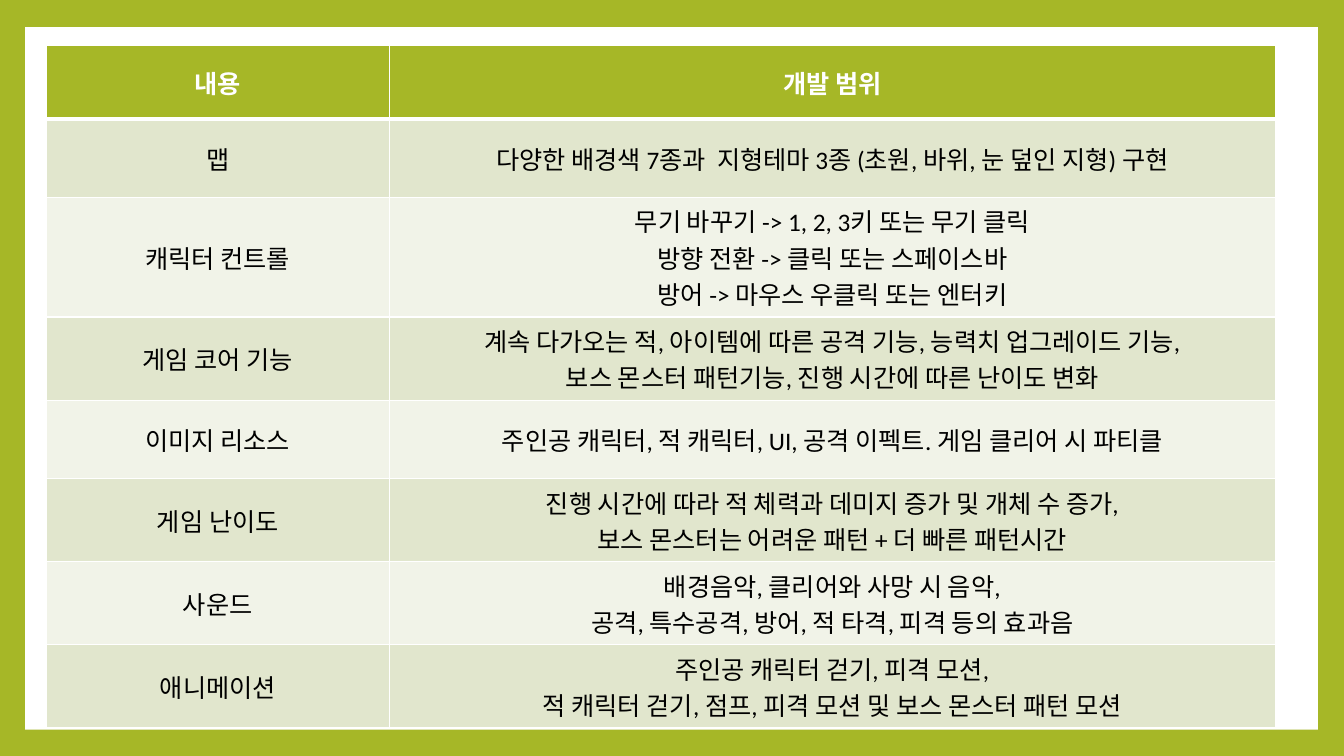
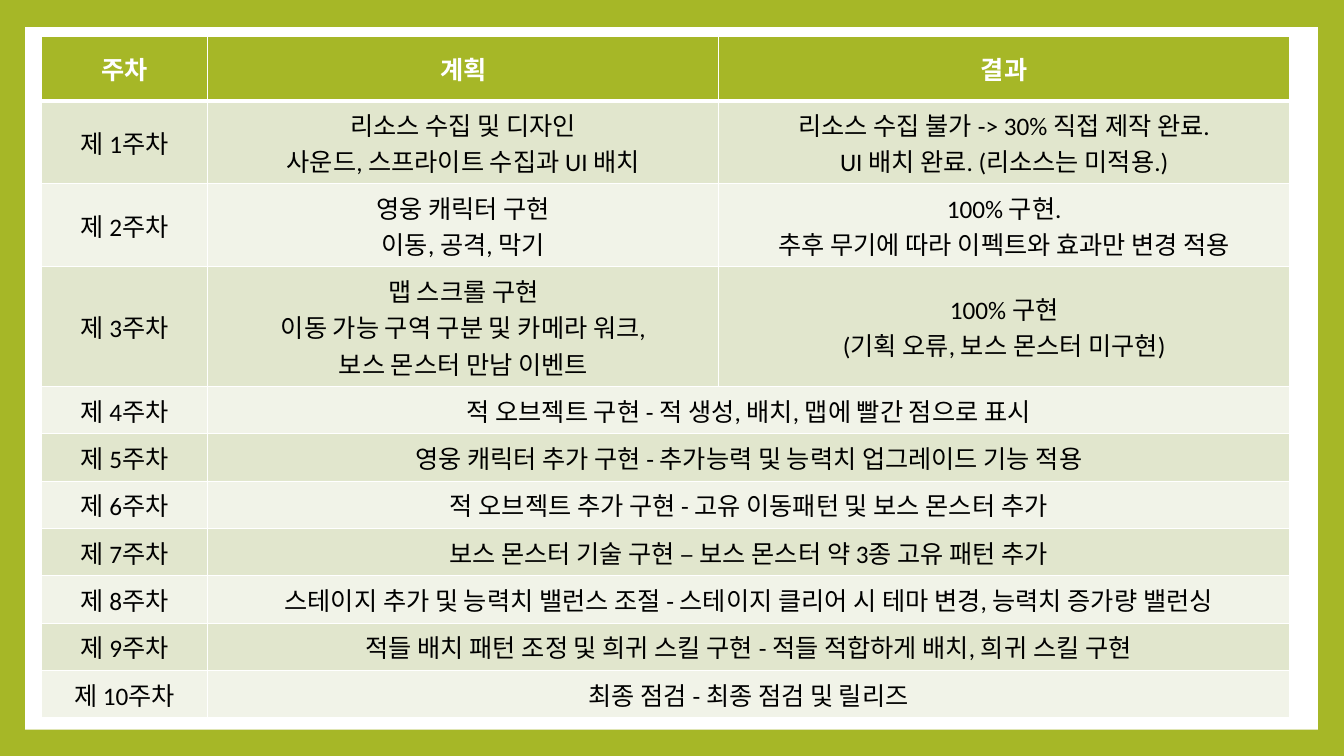
from dataclasses import dataclass

from pptx import Presentation
from pptx.dml.color import RGBColor
from pptx.enum.shapes import MSO_SHAPE as SHAPE
from pptx.enum.text import MSO_ANCHOR as ANCHOR, PP_ALIGN as ALIGN
from pptx.oxml import parse_xml
from pptx.oxml.ns import nsdecls
from pptx.util import Inches, Pt

GREEN, WHITE, BLACK = "A6B727", "FFFFFF", "000000"
BANDS = ("E1E6CD", "F1F3E8")
BASE_FONT = {"name": "Calibri", "size": Pt(18)}
THIN, THICK = 1, 3


@dataclass(frozen=True)
class Grid:
    """A table with a header row; a short row spans its last cell to the right edge."""
    left: float
    top: float
    widths: tuple[float, ...]
    heights: tuple[float, ...]
    rows: tuple[tuple[str, ...], ...]


SCOPE = Grid(
    0.46, 0.45, (3.4, 8.79), (0.73, 0.78, 0.95) + (0.78,) * 5,
    (
        ("내용", "개발 범위"),
        ("맵", "다양한 배경색 7종과  지형테마 3종 (초원, 바위, 눈 덮인 지형) 구현"),
        ("캐릭터 컨트롤",
         "무기 바꾸기 -> 1, 2, 3키 또는 무기 클릭\n"
         "방향 전환 -> 클릭 또는 스페이스바\n"
         "방어 -> 마우스 우클릭 또는 엔터키"),
        ("게임 코어 기능",
         "계속 다가오는 적, 아이템에 따른 공격 기능, 능력치 업그레이드 기능,\n"
         "보스 몬스터 패턴기능, 진행 시간에 따른 난이도 변화"),
        ("이미지 리소스", "주인공 캐릭터, 적 캐릭터, UI, 공격 이펙트. 게임 클리어 시 파티클"),
        ("게임 난이도",
         "진행 시간에 따라 적 체력과 데미지 증가 및 개체 수 증가,\n"
         "보스 몬스터는 어려운 패턴 + 더 빠른 패턴시간"),
        ("사운드",
         "배경음악, 클리어와 사망 시 음악,\n"
         "공격, 특수공격, 방어, 적 타격, 피격 등의 효과음"),
        ("애니메이션",
         "주인공 캐릭터 걷기, 피격 모션,\n"
         "적 캐릭터 걷기, 점프, 피격 모션 및 보스 몬스터 패턴 모션"),
    ),
)

WEEKS = (
    ("리소스 수집 및 디자인\n사운드, 스프라이트 수집과 UI 배치",
     "리소스 수집 불가 -> 30% 직접 제작 완료.\nUI 배치 완료. (리소스는 미적용.)"),
    ("영웅 캐릭터 구현\n이동, 공격, 막기",
     "100% 구현.\n추후 무기에 따라 이펙트와 효과만 변경 적용"),
    ("맵 스크롤 구현\n이동 가능 구역 구분 및 카메라 워크,\n보스 몬스터 만남 이벤트",
     "100% 구현\n(기획 오류, 보스 몬스터 미구현)"),
    ("적 오브젝트 구현 - 적 생성, 배치, 맵에 빨간 점으로 표시",),
    ("영웅 캐릭터 추가 구현 - 추가능력 및 능력치 업그레이드 기능 적용",),
    ("적 오브젝트 추가 구현 - 고유 이동패턴 및 보스 몬스터 추가",),
    ("보스 몬스터 기술 구현 – 보스 몬스터 약 3종 고유 패턴 추가",),
    ("스테이지 추가 및 능력치 밸런스 조절 - 스테이지 클리어 시 테마 변경, 능력치 증가량 밸런싱",),
    ("적들 배치 패턴 조정 및 희귀 스킬 구현 - 적들 적합하게 배치, 희귀 스킬 구현",),
    ("최종 점검 - 최종 점검 및 릴리즈",),
)

SCHEDULE = Grid(
    0.41, 0.36, (1.65, 5.07, 5.66), (0.64, 0.79, 0.79, 1.14) + (0.47,) * 7,
    (("주차", "계획", "결과"),)
    + tuple((f"제 {n}주차", *texts) for n, texts in enumerate(WEEKS, 1)),
)


def set_fill(fill, color: str) -> None:
    fill.solid()
    fill.fore_color.rgb = RGBColor.from_string(color)


def set_borders(cell, top: int, bottom: int) -> None:
    tc_pr = cell._tc.get_or_add_tcPr()
    for side, width in {"L": THIN, "R": THIN, "T": top, "B": bottom}.items():
        tc_pr.append(parse_xml(
            f'<a:ln{side} {nsdecls("a")} w="{Pt(width)}"><a:solidFill>'
            f'<a:srgbClr val="{WHITE}"/></a:solidFill></a:ln{side}>'))


def write_cell(cell, text: str, color: str, bold: bool) -> None:
    cell.text = text
    cell.vertical_anchor = ANCHOR.MIDDLE
    for p in cell.text_frame.paragraphs:
        p.alignment = ALIGN.CENTER
        for r in p.runs:
            for key, value in {**BASE_FONT, "bold": bold}.items():
                setattr(r.font, key, value)
            r.font.color.rgb = RGBColor.from_string(color)


def add_panel(slide) -> None:
    sp = slide.shapes.add_shape(
        SHAPE.RECTANGLE, Inches(0.25), Inches(0.27), Inches(12.82), Inches(6.97))
    sp.shadow.inherit = False
    set_fill(sp.fill, WHITE)
    sp.line.fill.background()


def add_grid(slide, grid: Grid) -> None:
    table = slide.shapes.add_table(
        len(grid.rows), len(grid.widths), Inches(grid.left), Inches(grid.top),
        Inches(sum(grid.widths)), Inches(sum(grid.heights))).table
    for column, width in zip(table.columns, grid.widths):
        column.width = Inches(width)
    last = len(grid.widths) - 1
    for i, (texts, height) in enumerate(zip(grid.rows, grid.heights)):
        header = i == 0
        table.rows[i].height = Inches(height)
        for cell in table.rows[i].cells:
            set_borders(cell, THICK if i == 1 else THIN, THICK if header else THIN)
            set_fill(cell.fill, GREEN if header else BANDS[(i - 1) % 2])
        if len(texts) <= last:
            table.cell(i, len(texts) - 1).merge(table.cell(i, last))
        for j, text in enumerate(texts):
            write_cell(table.cell(i, j), text, WHITE if header else BLACK, header)


def main() -> None:
    prs = Presentation()
    prs.slide_width, prs.slide_height = Inches(13.33), Inches(7.5)
    set_fill(prs.slide_master.background.fill, GREEN)
    blank = prs.slide_layouts[6]
    for grid in (SCOPE, SCHEDULE):
        slide = prs.slides.add_slide(blank)
        add_panel(slide)
        add_grid(slide, grid)
    prs.save("out.pptx")


if __name__ == "__main__":
    main()
